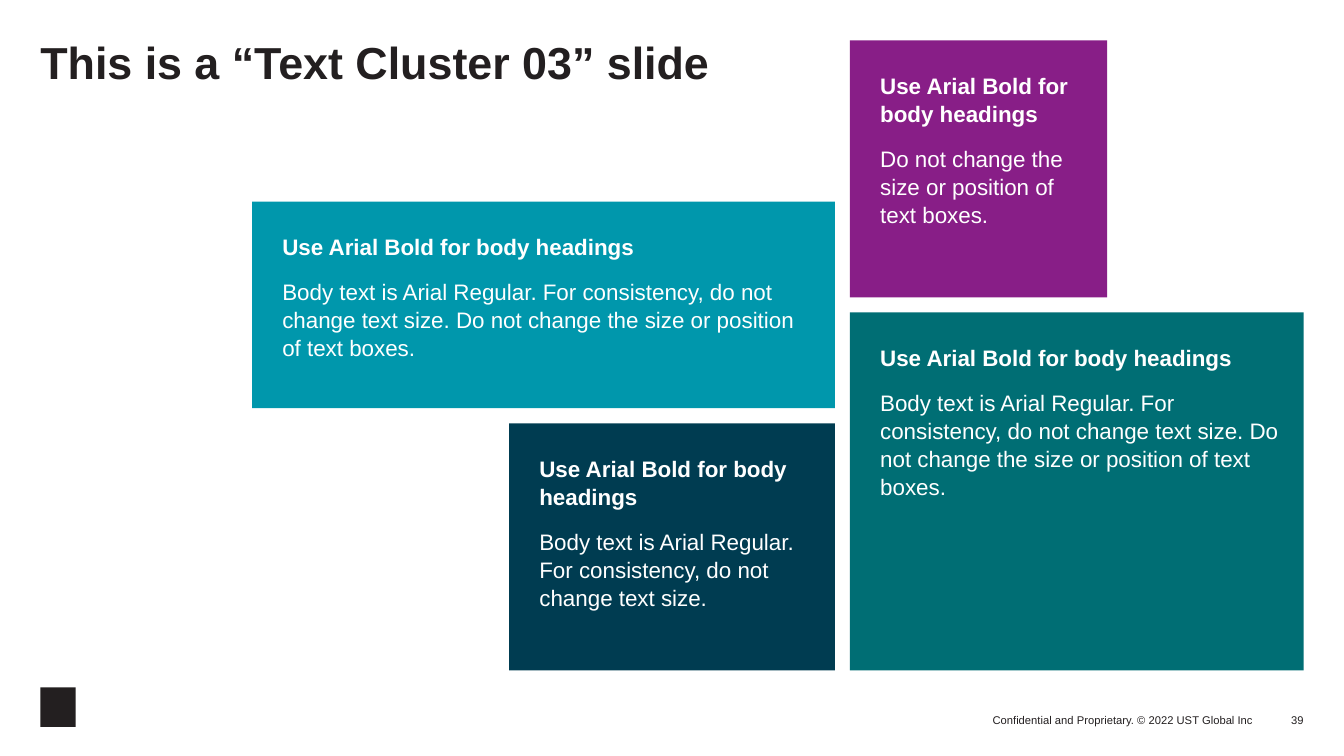
"""Build the text cluster slide with four coloured text cards."""
from dataclasses import dataclass

from pptx import Presentation
from pptx import util as u
from pptx.dml.color import RGBColor
from pptx.enum import shapes, text

EMU_PER_PX = 9144
INK = RGBColor(0x23, 0x1F, 0x20)
WHITE = RGBColor(0xFF, 0xFF, 0xFF)
PURPLE = RGBColor(0x88, 0x1E, 0x87)
CYAN = RGBColor(0x00, 0x97, 0xAC)
TEAL = RGBColor(0x00, 0x6E, 0x74)
NAVY = RGBColor(0x00, 0x3C, 0x51)
FONT = "Arial"
HEADING = "Use Arial Bold for body headings"
BODY = "Body text is Arial Regular. For consistency, do not change text size."


@dataclass(frozen=True)
class Box:
    left: int
    top: int
    width: int
    height: int

    def emu(self) -> list[u.Emu]:
        return [px(n) for n in (self.left, self.top, self.width, self.height)]


@dataclass(frozen=True)
class Card:
    box: Box
    fill: RGBColor
    body: str


@dataclass(frozen=True)
class Label:
    box: Box
    words: str
    size: int
    align: text.PP_ALIGN
    anchor: text.MSO_ANCHOR
    bold: bool = False
    wrap: bool = True
    spacing: float = 1.0


CARDS = (
    Card(Box(843, 40, 255, 255), PURPLE,
         "Do not change the size or position of text boxes."),
    Card(Box(250, 200, 578, 205), CYAN,
         f"{BODY} Do not change the size or position of text boxes."),
    Card(Box(843, 310, 450, 355), TEAL,
         f"{BODY} Do not change the size or position of text boxes."),
    Card(Box(505, 420, 323, 245), NAVY, BODY),
)
LABELS = (
    Label(Box(40, 40, 788, 100), "This is a “Text Cluster 03” slide", 32,
          text.PP_ALIGN.LEFT, text.MSO_ANCHOR.TOP, bold=True, spacing=0.9),
    Label(Box(899, 701, 344, 20),
          "Confidential and Proprietary. © 2022 UST Global Inc", 8,
          text.PP_ALIGN.RIGHT, text.MSO_ANCHOR.BOTTOM, wrap=False),
    Label(Box(1243, 691, 50, 30), "39", 8,
          text.PP_ALIGN.RIGHT, text.MSO_ANCHOR.BOTTOM),
)
LOGO_BOX = Box(40, 682, 35, 39)


def px(length: int) -> u.Emu:
    """Turn px into EMU."""
    return u.Emu(length * EMU_PER_PX)


def apply(target, values: dict) -> None:
    """Set each named attribute on the target."""
    for name, value in values.items():
        setattr(target, name, value)


def format_frame(frame, near: int, far: int, anchor, wrap: bool = True) -> None:
    """Set margins, anchor and wrapping of a text frame."""
    apply(frame, {
        "margin_left": px(near), "margin_top": px(near),
        "margin_right": px(far), "margin_bottom": px(far),
        "vertical_anchor": anchor, "word_wrap": wrap,
    })


def write(paragraph, words: str, size: int, colour: RGBColor, bold: bool,
          layout: dict) -> None:
    """Fill a paragraph with one formatted run."""
    apply(paragraph, layout)
    run = paragraph.add_run()
    run.text = words
    apply(run.font, {"name": FONT, "size": u.Pt(size), "bold": bold})
    run.font.color.rgb = colour


def draw_rectangle(slide, box: Box, fill: RGBColor):
    """Draw a plain filled rectangle."""
    shape = slide.shapes.add_shape(shapes.MSO_SHAPE.RECTANGLE, *box.emu())
    shape.shadow.inherit = False
    shape.fill.solid()
    shape.fill.fore_color.rgb = fill
    shape.line.fill.background()
    return shape


def draw_card(slide, card: Card) -> None:
    """Draw a coloured card with a heading and body text."""
    frame = draw_rectangle(slide, card.box, card.fill).text_frame
    format_frame(frame, 30, 20, text.MSO_ANCHOR.TOP)
    layout = {"alignment": text.PP_ALIGN.LEFT, "line_spacing": 1.05}
    write(frame.paragraphs[0], HEADING, 16, WHITE, True, layout)
    write(frame.add_paragraph(), card.body, 16, WHITE, False,
          {**layout, "space_before": u.Pt(12)})


def draw_label(slide, label: Label) -> None:
    """Draw a text box holding one line."""
    frame = slide.shapes.add_textbox(*label.box.emu()).text_frame
    format_frame(frame, 0, 0, label.anchor, label.wrap)
    write(frame.paragraphs[0], label.words, label.size, INK, label.bold,
          {"alignment": label.align, "line_spacing": label.spacing})


def main() -> None:
    """Build and save the slide."""
    presentation = Presentation()
    apply(presentation, {"slide_width": px(1333), "slide_height": px(750)})
    slide = presentation.slides.add_slide(presentation.slide_layouts[6])
    draw_rectangle(slide, LOGO_BOX, INK)
    for label in LABELS:
        draw_label(slide, label)
    for card in CARDS:
        draw_card(slide, card)
    presentation.save("out.pptx")


if __name__ == "__main__":
    main()
